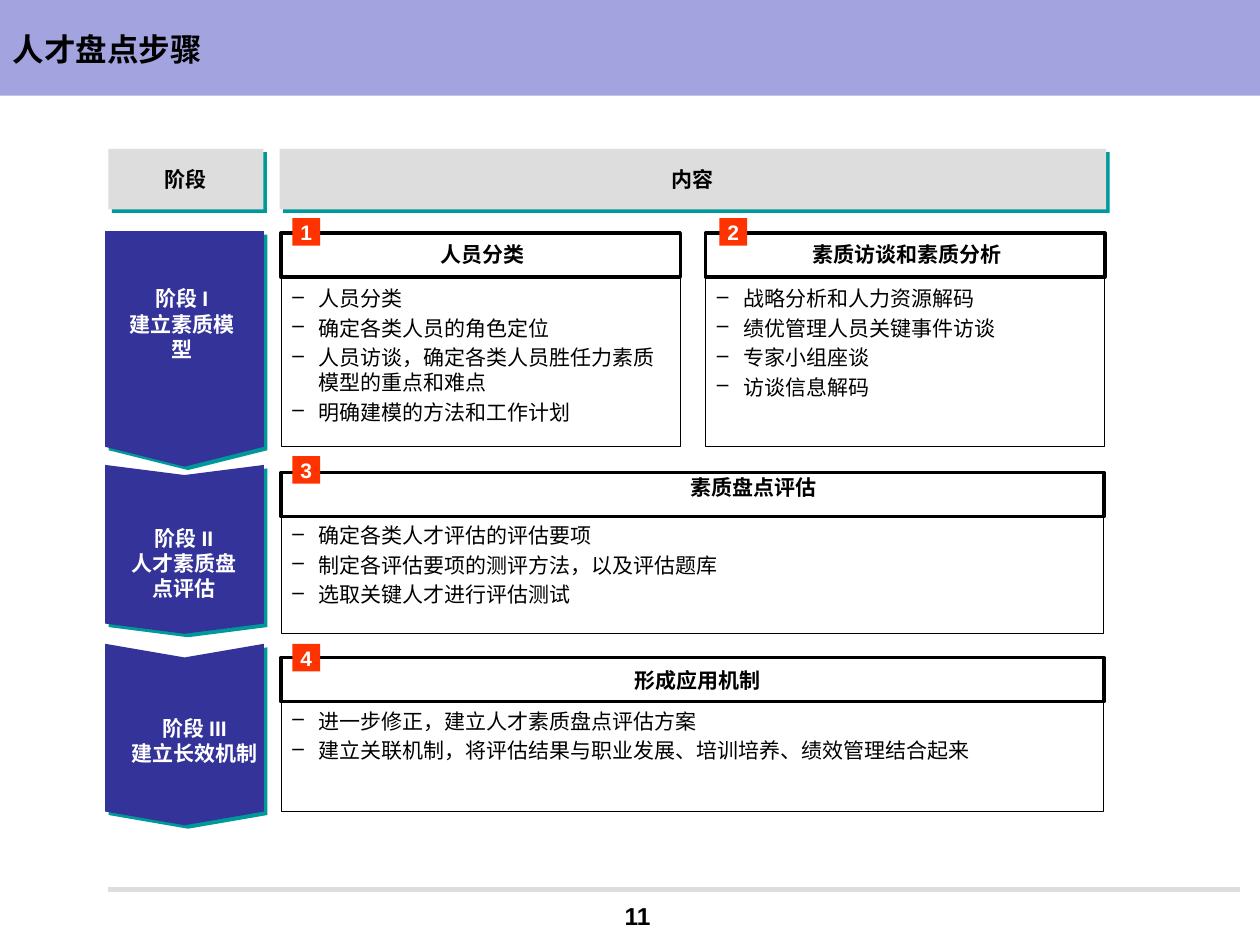
from lxml.etree import SubElement
from pptx import Presentation
from pptx.dml.color import RGBColor
from pptx.enum.shapes import MSO_CONNECTOR, MSO_SHAPE
from pptx.enum.text import MSO_ANCHOR, MSO_AUTO_SIZE, PP_ALIGN
from pptx.oxml.ns import qn
from pptx.util import Pt

BLACK, WHITE, GREY = "000000", "FFFFFF", "DDDDDD"
LAVENDER, NAVY, TEAL, RED = "A3A3E0", "333399", "009999", "FF3300"
HEAD_HEIGHT = 25.2
BADGE_SIZE = 15.8


def rgb(hex_code):
    return RGBColor.from_string(hex_code)


def add_block(slide, box, kind=MSO_SHAPE.RECTANGLE, fill=None, line=None, weight=1):
    block = slide.shapes.add_shape(kind, *map(Pt, box))
    block.shadow.inherit = False
    if fill:
        block.fill.solid()
        block.fill.fore_color.rgb = rgb(fill)
    else:
        block.fill.background()
    if line:
        block.line.color.rgb = rgb(line)
        block.line.width = Pt(weight)
    else:
        block.line.fill.background()
    return block


def add_teal_shadow(block):
    effects = block.element.spPr.find(qn("a:effectLst"))
    shadow = SubElement(effects, qn("a:outerShdw"), dist=str(Pt(2.8)),
                        dir="2700000", algn="ctr", rotWithShape="0")
    SubElement(shadow, qn("a:srgbClr"), val=TEAL)


def style(paragraph, size=12, color=BLACK, bold=True, font="Arial", align=PP_ALIGN.CENTER):
    paragraph.alignment = align
    paragraph.font.name = font
    paragraph.font.size = Pt(size)
    paragraph.font.bold = bold
    paragraph.font.color.rgb = rgb(color)


def set_frame(frame, anchor=MSO_ANCHOR.MIDDLE, inset=(0, 0)):
    frame.word_wrap = True
    frame.auto_size = MSO_AUTO_SIZE.NONE
    frame.vertical_anchor = anchor
    frame.margin_left = frame.margin_right = Pt(inset[0])
    frame.margin_top = frame.margin_bottom = Pt(inset[1])


def write(shape, text, **look):
    set_frame(shape.text_frame)
    shape.text_frame.text = text
    for paragraph in shape.text_frame.paragraphs:
        style(paragraph, **look)


def add_label(slide, box, text, **look):
    write(slide.shapes.add_textbox(*map(Pt, box)), text, **look)


def add_dash_list(slide, box, items):
    frame = slide.shapes.add_textbox(*map(Pt, box)).text_frame
    set_frame(frame, MSO_ANCHOR.TOP)
    frame.text = "\n".join(items)
    for index, paragraph in enumerate(frame.paragraphs):
        properties = paragraph._p.get_or_add_pPr()
        properties.set("marL", str(Pt(15.1)))
        properties.set("indent", str(-Pt(15.1)))
        SubElement(properties, qn("a:buChar"), char="–")
        paragraph.level = 1
        paragraph.space_before = Pt(2.4 if index else 0)
        style(paragraph, bold=False, align=PP_ALIGN.LEFT)


def add_title_band(slide, box, text):
    left, top, width, height = box
    band = add_block(slide, box, fill=LAVENDER)
    title = slide.shapes.title
    title.element.addprevious(band.element)
    title.left, title.top = Pt(left), Pt(top + 5.8)
    title.width, title.height = Pt(width - 23.8), Pt(height - 10)
    set_frame(title.text_frame, inset=(7.2, 3.6))
    title.text_frame.text = text
    style(title.text_frame.paragraphs[0], size=18, font="Noto Sans CJK SC",
          align=PP_ALIGN.LEFT)


def add_footer(slide, box, number):
    left, top, width, height = box
    rule = slide.shapes.add_connector(MSO_CONNECTOR.STRAIGHT, Pt(left), Pt(top),
                                      Pt(left + width), Pt(top))
    rule.line.color.rgb = rgb(GREY)
    rule.line.width = Pt(2.75)
    SubElement(rule.element.spPr, qn("a:effectLst"))
    add_label(slide, (left + 275.8, top + 2.2, 53.3, height - 2.2), number, size=14)


def add_column_header(slide, box, text):
    header = add_block(slide, box, fill=GREY)
    add_teal_shadow(header)
    write(header, text)


def add_stage(slide, box, kind, point, label_box, text):
    """Downward arrow filling box, with its label placed relative to box."""
    left, top, width, height = box
    shift = (height - width) / 2
    arrow = add_block(slide, (left - shift, top + shift, height, width), kind, NAVY)
    arrow.rotation = 90
    arrow.adjustments[0] = point
    add_teal_shadow(arrow)
    dx, dy, label_width, label_height = label_box
    add_label(slide, (left + dx, top + dy, label_width, label_height), text, color=WHITE)


def add_panel(slide, box, number, heading, items, heading_box, list_top, badge_at):
    """Framed step: heading strip, dash list and numbered badge."""
    left, top, width, height = box
    add_block(slide, box, line=BLACK, weight=0.5)
    add_block(slide, (left, top, width, HEAD_HEIGHT), line=BLACK, weight=2)
    dx, dy, heading_width = heading_box
    add_label(slide, (left + dx, top + dy, heading_width, 14.4), heading)
    add_dash_list(slide, (left + 6.5, top + list_top, width - 9.4, height - list_top), items)
    badge_dx, badge_dy = badge_at
    badge = add_block(slide, (left + badge_dx, top + badge_dy, BADGE_SIZE, BADGE_SIZE), fill=RED)
    write(badge, str(number), color=WHITE)


STAGES = [
    (132.1, 134.6, MSO_SHAPE.PENTAGON, 0.125, (12.6, 31.3, 62.6, 43.2),
     "阶段 I\n建立素质模型"),
    (265.7, 96.5, MSO_SHAPE.CHEVRON, 0.064, (14.8, 34.5, 60.5, 43.2),
     "阶段 II\n人才素质盘点评估"),
    (367.9, 103.7, MSO_SHAPE.CHEVRON, 0.086, (9.7, 41.1, 82.8, 28.8),
     "阶段 III\n建立长效机制"),
]

PANELS = [
    ((160.6, 133.2, 228.2, 121.7), "人员分类",
     ["人员分类", "确定各类人员的角色定位",
      "人员访谈，确定各类人员胜任力素质模型的重点和难点", "明确建模的方法和工作计划"],
     (23, 5, 184.3), 30.2, (6.5, -8.6)),
    ((403.2, 133.2, 228.2, 121.7), "素质访谈和素质分析",
     ["战略分析和人力资源解码", "绩优管理人员关键事件访谈", "专家小组座谈", "访谈信息解码"],
     (23, 5, 184.3), 30.2, (7.9, -8.6)),
    ((160.6, 270, 470.2, 92.2), "素质盘点评估",
     ["确定各类人才评估的评估要项", "制定各评估要项的测评方法，以及评估题库",
      "选取关键人才进行评估测试"],
     (133.9, 1.4, 272.2), 28.8, (6.5, -9.4)),
    ((160.6, 375.8, 470.2, 87.8), "形成应用机制",
     ["进一步修正，建立人才素质盘点评估方案",
      "建立关联机制，将评估结果与职业发展、培训培养、绩效管理结合起来"],
     (20.9, 5.8, 434.2), 28.8, (6.5, -7.9)),
]


def main():
    presentation = Presentation()
    presentation.slide_width, presentation.slide_height = Pt(720), Pt(540)
    slide = presentation.slides.add_slide(presentation.slide_layouts[5])
    add_title_band(slide, (0, 0, 720, 54.7), "人才盘点步骤")
    add_footer(slide, (61.9, 508.3, 646.6, 27.4), "11")
    add_column_header(slide, (61.9, 85, 88.6, 34.6), "阶段")
    add_column_header(slide, (159.8, 85, 472.3, 34.6), "内容")
    for top, height, *details in STAGES:
        add_stage(slide, (60.1, top, 90.7, height), *details)
    for number, (box, *details) in enumerate(PANELS, 1):
        add_panel(slide, box, number, *details)
    presentation.save("out.pptx")


if __name__ == "__main__":
    main()
